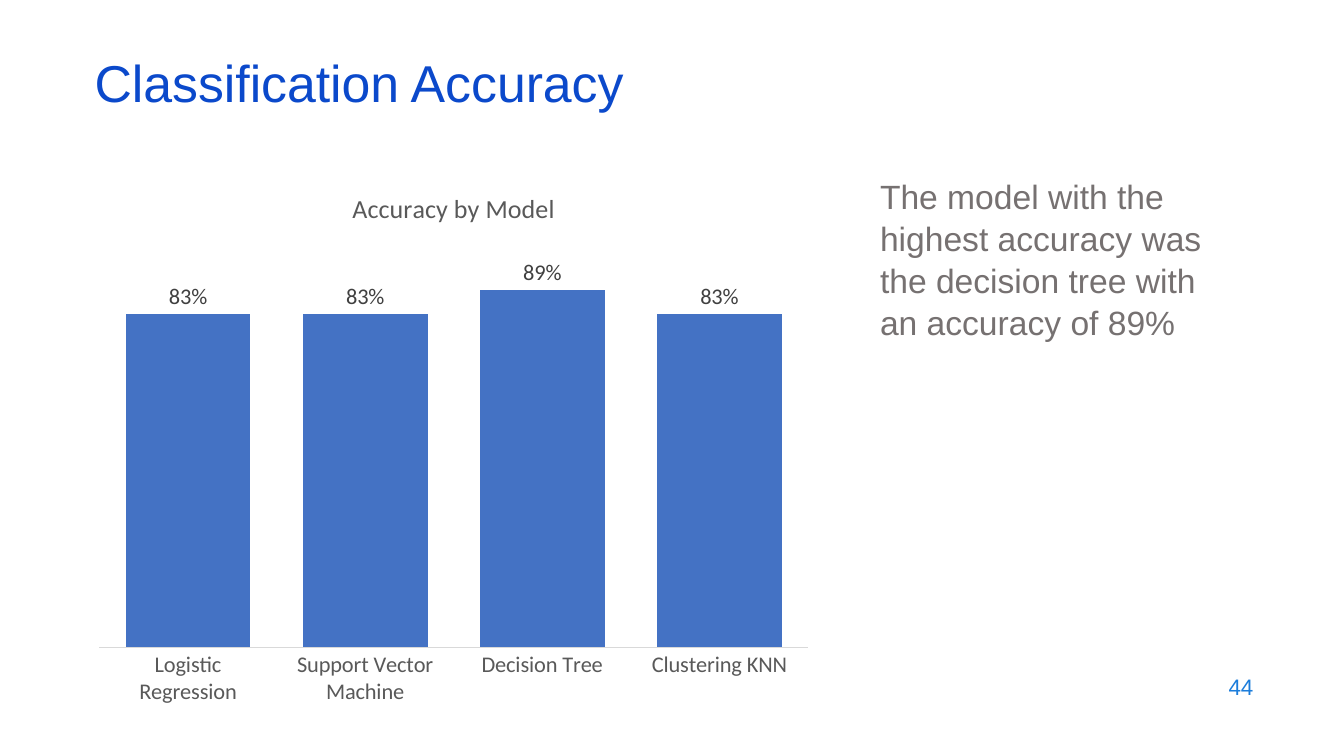
from dataclasses import dataclass

from lxml.etree import SubElement
from pptx import Presentation
from pptx.chart.data import CategoryChartData
from pptx.dml.color import RGBColor as RGB
from pptx.enum.chart import XL_CHART_TYPE as ChartType
from pptx.enum.chart import XL_LABEL_POSITION as LabelPosition
from pptx.enum.chart import XL_TICK_MARK as TickMark
from pptx.enum.text import MSO_ANCHOR as Anchor
from pptx.enum.text import PP_ALIGN as Align
from pptx.oxml.ns import qn
from pptx.util import Inches, Pt


@dataclass(frozen=True)
class Theme:
    text_font: str = "Arial"
    chart_font: str = "Calibri"
    heading: RGB = RGB(0x0B, 0x49, 0xCB)
    body: RGB = RGB(0x76, 0x71, 0x71)
    page: RGB = RGB(0x1C, 0x7D, 0xDB)
    bar: RGB = RGB(0x44, 0x72, 0xC4)
    bar_label: RGB = RGB(0x40, 0x40, 0x40)
    axis_text: RGB = RGB(0x59, 0x59, 0x59)
    axis_line: RGB = RGB(0xD9, 0xD9, 0xD9)
    heading_size: float = 37
    body_size: float = 24
    chart_title_size: float = 18.6
    small_size: float = 16


THEME = Theme()
ACCURACY = {
    "Logistic Regression": 0.83,
    "Support Vector Machine": 0.83,
    "Decision Tree": 0.89,
    "Clustering KNN": 0.83,
}


def style(font, name, size, color):
    font.name = name
    font.size = Pt(size)
    font.bold = False
    font.color.rgb = color


def add_text(slide, box, text, size, color, anchor=Anchor.MIDDLE,
             align=Align.LEFT, spacing=1.0):
    frame = slide.shapes.add_textbox(*map(Inches, box)).text_frame
    frame.word_wrap = True
    frame.vertical_anchor = anchor
    paragraph = frame.paragraphs[0]
    paragraph.alignment = align
    paragraph.line_spacing = spacing
    run = paragraph.add_run()
    run.text = text
    style(run.font, THEME.text_font, size, color)


def set_plot_area(chart, x, y, w, h):
    """Fix the inner plot area, in fractions of the chart frame."""
    plot_area = chart._chartSpace.chart.plotArea
    layout = plot_area.find(qn("c:layout"))
    if layout is None:
        layout = SubElement(plot_area, qn("c:layout"))
        plot_area.insert(0, layout)
    manual = SubElement(layout, qn("c:manualLayout"))
    settings = {"layoutTarget": "inner", "xMode": "edge", "yMode": "edge",
                "x": x, "y": y, "w": w, "h": h}
    for tag, value in settings.items():
        SubElement(manual, qn(f"c:{tag}")).set("val", str(value))


def add_accuracy_chart(slide, box):
    data = CategoryChartData(number_format="0%")
    data.categories = list(ACCURACY)
    data.add_series("Series 1", list(ACCURACY.values()))
    chart = slide.shapes.add_chart(
        ChartType.COLUMN_CLUSTERED, *map(Inches, box), data).chart
    chart.has_legend = False
    chart.font.name = THEME.chart_font
    chart.font.size = Pt(THEME.small_size)

    chart.has_title = True
    title = chart.chart_title.text_frame.paragraphs[0].add_run()
    title.text = "Accuracy by Model"
    style(title.font, THEME.chart_font, THEME.chart_title_size, THEME.axis_text)
    chart.chart_title.include_in_layout = False

    models = chart.category_axis
    models.major_tick_mark = models.minor_tick_mark = TickMark.NONE
    models.format.line.color.rgb = THEME.axis_line
    models.format.line.width = Pt(0.75)
    style(models.tick_labels.font, THEME.chart_font, THEME.small_size,
          THEME.axis_text)

    scale = chart.value_axis
    scale.minimum_scale, scale.maximum_scale = 0, 1
    scale.has_major_gridlines = False
    scale.visible = False

    bars = chart.plots[0]
    bars.gap_width, bars.overlap = 42, -27
    bars.vary_by_categories = False
    fill = bars.series[0].format.fill
    fill.solid()
    fill.fore_color.rgb = THEME.bar

    bars.has_data_labels = True
    labels = bars.data_labels
    labels.show_value = True
    labels.number_format = "0%"
    labels.number_format_is_linked = False
    labels.position = LabelPosition.OUTSIDE_END
    style(labels.font, THEME.chart_font, THEME.small_size, THEME.bar_label)
    set_plot_area(chart, 0.02, 0.14, 0.96, 0.73)


def build_accuracy_slide(slide):
    left, top = 0.84, 1.68
    add_text(slide, (left, 0.59, 11.5, 0.6), "Classification Accuracy",
             THEME.heading_size, THEME.heading, spacing=0.7)
    add_accuracy_chart(slide, (left, top, 7.32, 5.45))
    add_text(slide, (8.63, top, 3.44, 4.91),
             "The model with the highest accuracy was the decision tree "
             "with an accuracy of 89%",
             THEME.body_size, THEME.body, anchor=Anchor.TOP, spacing=1.04)
    add_text(slide, (9.53, 6.59, 3, 0.44), "44", THEME.small_size, THEME.page,
             align=Align.RIGHT)


def main():
    deck = Presentation()
    deck.slide_width, deck.slide_height = Inches(13.33), Inches(7.5)
    build_accuracy_slide(deck.slides.add_slide(deck.slide_layouts[6]))
    deck.save("out.pptx")


if __name__ == "__main__":
    main()
